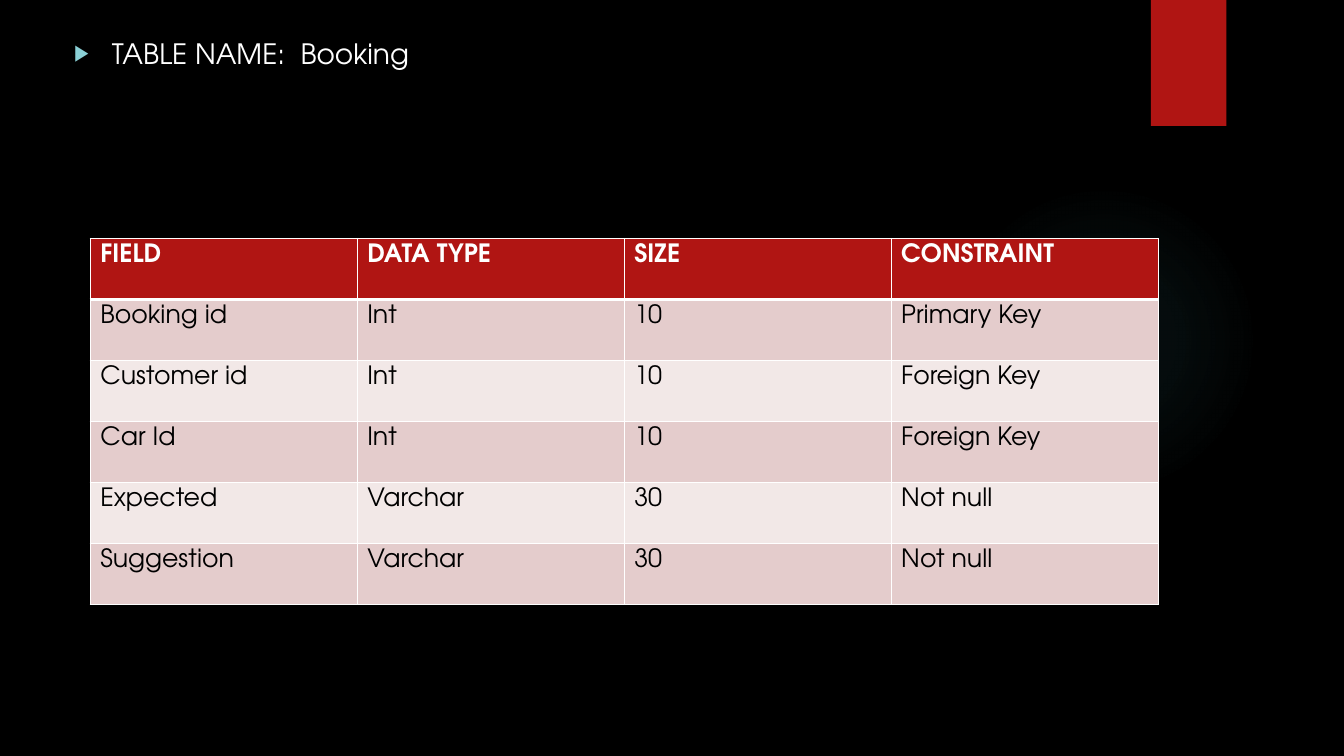
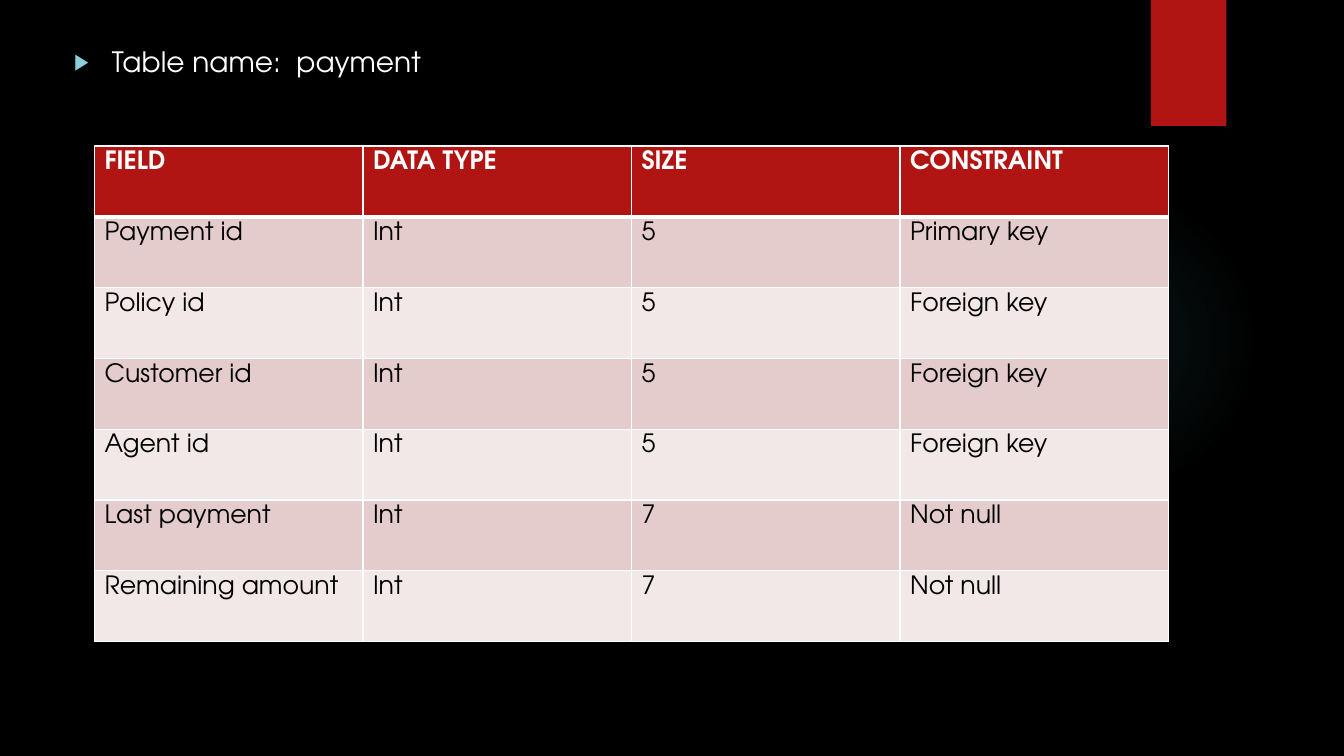
from lxml import etree
from pptx import Presentation
from pptx.dml.color import RGBColor
from pptx.enum.shapes import MSO_SHAPE as SHAPE
from pptx.oxml import parse_xml
from pptx.oxml.ns import nsdecls, qn
from pptx.util import Emu, Pt

FONT = "TeX Gyre Adventor"
COLORS = {
    "background": "000000",
    "accent": "B01513",
    "glow": "50B9C1",
    "bullet": "8AD0D6",
    "light": "FFFFFF",
    "dark": "000000",
    "odd_row": "E4CCCC",
    "even_row": "F2E8E7",
}
GLOW_STOPS = [(0, 7), (36, 6), (69, 0)]
HEADER = ["FIELD", "DATA TYPE", "SIZE", "CONSTRAINT"]
BOOKING = [
    ["Booking id", "Int", "10", "Primary Key"],
    ["Customer id", "Int", "10", "Foreign Key"],
    ["Car Id", "Int", "10", "Foreign Key"],
    ["Expected", "Varchar", "30", "Not null"],
    ["Suggestion", "Varchar", "30", "Not null"],
]
PAYMENT = [
    ["Payment id", "Int", "5", "Primary key"],
    ["Policy id", "Int", "5", "Foreign key"],
    ["Customer id", "Int", "5", "Foreign key"],
    ["Agent id", "Int", "5", "Foreign key"],
    ["Last payment", "Int", "7", "Not null"],
    ["Remaining amount", "Int", "7", "Not null"],
]


def px(n):
    """Turn pixels into EMU."""
    return Emu(n * 9525)


def rgb(name):
    """Look up a palette colour."""
    return RGBColor.from_string(COLORS[name])


def format_runs(p, size, color, bold=False):
    """Apply the deck's font to every run of a paragraph."""
    for r in p.runs:
        r.font.name = FONT
        r.font.size = Pt(size)
        r.font.bold = bold
        r.font.color.rgb = rgb(color)


def add_plain_shape(slide, kind, box):
    """Add an accent-filled shape without line or shadow."""
    sp = slide.shapes.add_shape(kind, *map(px, box))
    sp.shadow.inherit = False
    sp.line.fill.background()
    sp.fill.solid()
    sp.fill.fore_color.rgb = rgb("accent")
    return sp


def set_glow(sp):
    """Replace the solid fill with a fading radial gradient."""
    stops = "".join(
        f'<a:gs pos="{pos * 1000}"><a:srgbClr val="{COLORS["glow"]}">'
        f'<a:alpha val="{alpha * 1000}"/></a:srgbClr></a:gs>'
        for pos, alpha in GLOW_STOPS
    )
    gradient = parse_xml(
        f'<a:gradFill {nsdecls("a")}><a:gsLst>{stops}</a:gsLst>'
        '<a:path path="circle">'
        '<a:fillToRect l="50000" t="50000" r="50000" b="50000"/>'
        '</a:path></a:gradFill>'
    )
    solid = sp._element.spPr.find(qn("a:solidFill"))
    solid.getparent().replace(solid, gradient)


def add_decor(slide):
    """Draw the glow and the red tab shared by all slides."""
    set_glow(add_plain_shape(slide, SHAPE.OVAL, (903, 176, 296, 296)))
    add_plain_shape(slide, SHAPE.RECTANGLE, (1096, 0, 72, 120))


def set_bullet(p):
    """Give a paragraph the triangular bullet and hanging indent."""
    pPr = p._p.get_or_add_pPr()
    pPr.set("marL", str(px(36)))
    pPr.set("indent", str(px(-36)))
    color = etree.SubElement(pPr, qn("a:buClr"))
    etree.SubElement(color, qn("a:srgbClr"), val=COLORS["bullet"])
    etree.SubElement(pPr, qn("a:buSzPct"), val="80000")
    etree.SubElement(pPr, qn("a:buChar"), char="▶")


def fill_body(slide, text, box):
    """Place the body placeholder with one bulleted line."""
    body = slide.placeholders[1]
    body.left, body.top, body.width, body.height = map(px, box)
    p = body.text_frame.paragraphs[0]
    p.text = text
    set_bullet(p)
    p.space_before = Pt(0)
    format_runs(p, 20, "light")


def set_borders(cell, **widths):
    """Draw white cell borders, one point wide unless given."""
    tcPr = cell._tc.get_or_add_tcPr()
    for side in "LRTB":
        width = Pt(widths.get(side, 1))
        ln = etree.SubElement(tcPr, qn(f"a:ln{side}"), w=str(width))
        fill = etree.SubElement(ln, qn("a:solidFill"))
        etree.SubElement(fill, qn("a:srgbClr"), val=COLORS["light"])


def format_cell(cell, text, row):
    """Write a cell and style it by its row number."""
    header = row == 0
    set_borders(cell, T=3 if row == 1 else 1, B=3 if header else 1)
    cell.fill.solid()
    band = "odd_row" if row % 2 else "even_row"
    cell.fill.fore_color.rgb = rgb("accent" if header else band)
    cell.text_frame.text = text
    p = cell.text_frame.paragraphs[0]
    format_runs(p, 18, "light" if header else "dark", bold=header)


def add_field_table(slide, records, box):
    """Add a table of fields under the common header."""
    rows = [HEADER] + records
    frame = slide.shapes.add_table(len(rows), len(HEADER), *map(px, box))
    table = frame.table
    table.horz_banding = False
    for i, row in enumerate(rows):
        for j, text in enumerate(row):
            format_cell(table.cell(i, j), text, i)


def add_table_slide(prs, text, body_box, records, table_box):
    """Add a slide that describes one database table."""
    slide = prs.slides.add_slide(prs.slide_layouts[1])
    title = slide.shapes.title._element
    title.getparent().remove(title)
    add_decor(slide)
    fill_body(slide, text, body_box)
    add_field_table(slide, records, table_box)


def main():
    """Build and save the deck."""
    prs = Presentation()
    prs.slide_width, prs.slide_height = px(1280), px(720)
    background = prs.slide_master.background.fill
    background.solid()
    background.fore_color.rgb = rgb("background")
    add_table_slide(prs, "TABLE NAME:  Booking", (61, 30, 1158, 690),
                    BOOKING, (86, 227, 1017, 349))
    add_table_slide(prs, "Table name:  payment", (61, 38, 1158, 634),
                    PAYMENT, (90, 139, 1023, 472))
    prs.save("out.pptx")


if __name__ == "__main__":
    main()
